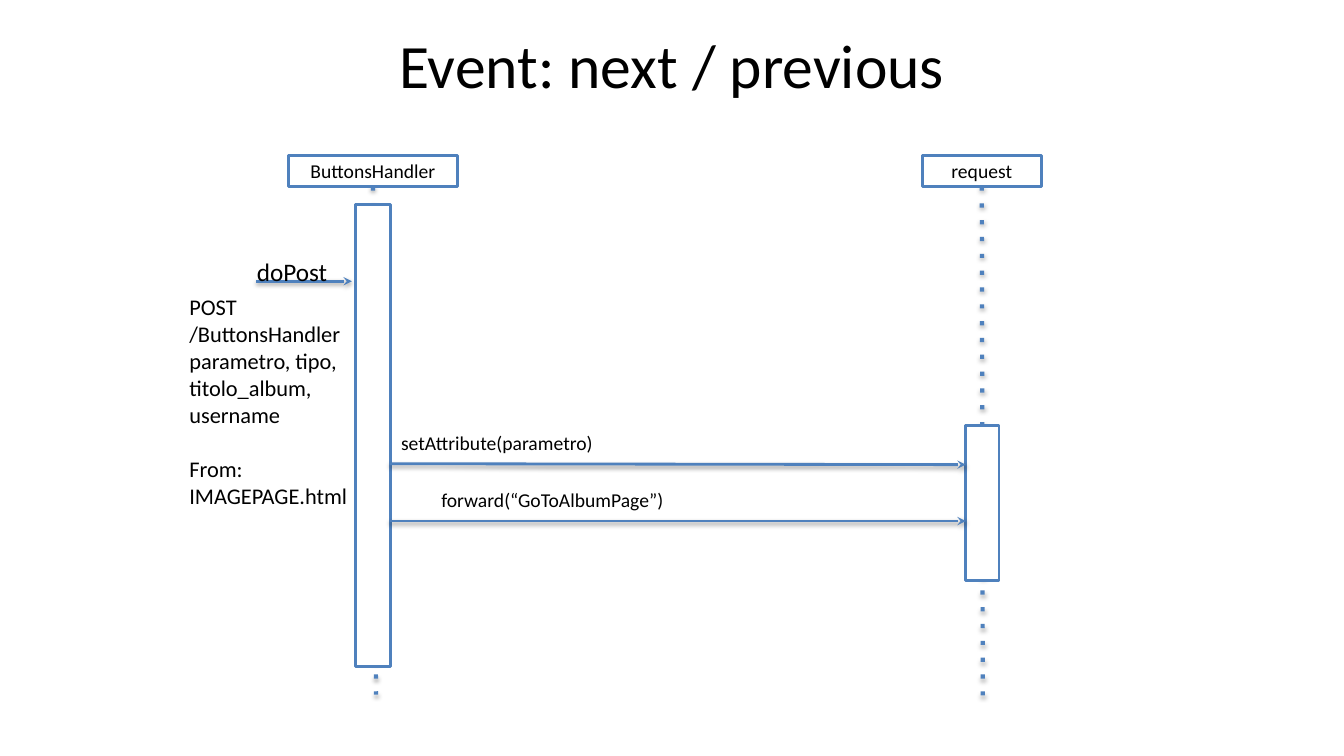
"""Sequence diagram of the next / previous event."""
from lxml.etree import SubElement
from pptx import Presentation
from pptx.dml.color import RGBColor
from pptx.enum.shapes import MSO_CONNECTOR, MSO_SHAPE
from pptx.enum.text import MSO_ANCHOR, PP_ALIGN
from pptx.oxml.ns import qn
from pptx.util import Pt

TITLE = "Event: next / previous"
BLUE, WHITE, BLACK = "4F81BD", "FFFFFF", "000000"
HEAD_TOP, HEAD_HEIGHT = 110.9, 22.3

# name, head left and width, lifeline end, activation bar
PARTICIPANTS = [
    ("ButtonsHandler", 205.9, 121, (268.6, 496.1), (254.2, 146.2, 24.5, 329.8)),
    ("request", 658.8, 85, (702, 501.8), (689.8, 303.8, 23.8, 110.9)),
]
# start, end
MESSAGES = [
    ((182.9, 200.9), (251.3, 200.9)),
    ((278.3, 372.2), (689.8, 372.2)),
    ((278.3, 331.2), (689.8, 331.9)),
]
# box, size, alignment, (line, space before)
LABELS = [
    ((176.4, 179.3, 72, 21.6), 18, PP_ALIGN.LEFT, [("doPost", 0)]),
    ((128.2, 205.9, 139, 179.3), 16, PP_ALIGN.LEFT, [
        ("POST", 0),
        ("/ButtonsHandler", 0),
        ("parametro, tipo, titolo_album, username", 0),
        ("From:", 19.5),
        ("IMAGEPAGE.html", 0),
    ]),
    ((279.4, 304.6, 242.6, 21.6), 14, PP_ALIGN.LEFT, [("setAttribute(parametro)", 0)]),
    ((258.5, 344.9, 272.2, 25.9), 14, PP_ALIGN.CENTER, [("forward(“GoToAlbumPage”)", 0)]),
]


def color(hex_code):
    return RGBColor.from_string(hex_code)


def points(values):
    return [Pt(value) for value in values]


def write(frame, lines, size, align):
    frame.word_wrap = True
    for index, (line, space) in enumerate(lines):
        paragraph = frame.add_paragraph() if index else frame.paragraphs[0]
        paragraph.text = line
        paragraph.alignment = align
        paragraph.space_before = Pt(space)
        paragraph.font.name = "Calibri"
        paragraph.font.size = Pt(size)
        paragraph.font.color.rgb = color(BLACK)


def add_box(slide, box, name=None):
    rectangle = slide.shapes.add_shape(MSO_SHAPE.RECTANGLE, *points(box))
    rectangle.shadow.inherit = False
    rectangle.fill.solid()
    rectangle.fill.fore_color.rgb = color(WHITE)
    rectangle.line.color.rgb = color(BLUE)
    rectangle.line.width = Pt(2)
    if name:
        rectangle.text_frame.vertical_anchor = MSO_ANCHOR.MIDDLE
        write(rectangle.text_frame, [(name, 0)], 14, PP_ALIGN.CENTER)


def add_line(slide, start, end, width, ending, opacity, distance):
    line = slide.shapes.add_connector(MSO_CONNECTOR.STRAIGHT, *points(start + end))
    line.line.color.rgb = color(BLUE)
    line.line.width = Pt(width)
    tag, value = ending
    outline = line.line._get_or_add_ln()
    SubElement(outline, qn(tag), {"prstDash": "val"}.get(tag, None) or
               {("val" if tag == "a:prstDash" else "type"): value})
    effects = SubElement(line._element.spPr, qn("a:effectLst"))
    shadow = SubElement(effects, qn("a:outerShdw"), blurRad=str(Pt(3.1)),
                        dist=str(Pt(distance)), dir="5400000", rotWithShape="0")
    black = SubElement(shadow, qn("a:srgbClr"), val=BLACK)
    SubElement(black, qn("a:alpha"), val=str(opacity * 1000))


def main():
    deck = Presentation()
    deck.slide_width, deck.slide_height = Pt(960), Pt(540)
    slide = deck.slides.add_slide(deck.slide_layouts[5])

    title = slide.shapes.title
    title.left, title.top, title.width, title.height = points((0, 11.5, 960, 67.7))
    title.text_frame.vertical_anchor = MSO_ANCHOR.MIDDLE
    write(title.text_frame, [(TITLE, 0)], 44, PP_ALIGN.CENTER)

    for name, left, width, lifeline_end, bar in PARTICIPANTS:
        lifeline_start = (left + width / 2, HEAD_TOP + HEAD_HEIGHT)
        add_line(slide, lifeline_start, lifeline_end, 3, ("a:prstDash", "dot"), 35, 1.8)
        add_box(slide, (left, HEAD_TOP, width, HEAD_HEIGHT), name)
        add_box(slide, bar)
    for start, end in MESSAGES:
        add_line(slide, start, end, 2, ("a:tailEnd", "stealth"), 38, 1.6)
    for box, size, align, lines in LABELS:
        label = slide.shapes.add_textbox(*points(box))
        write(label.text_frame, lines, size, align)

    deck.save("out.pptx")


if __name__ == "__main__":
    main()
